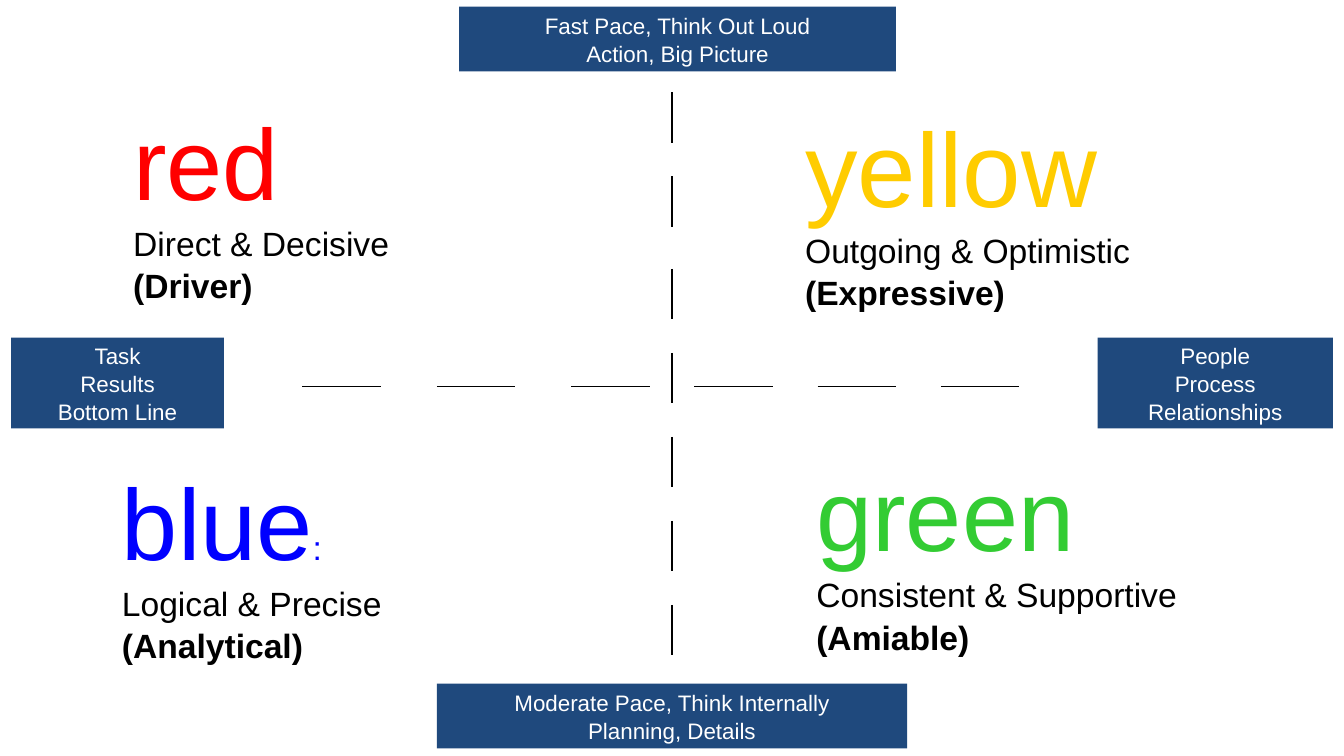
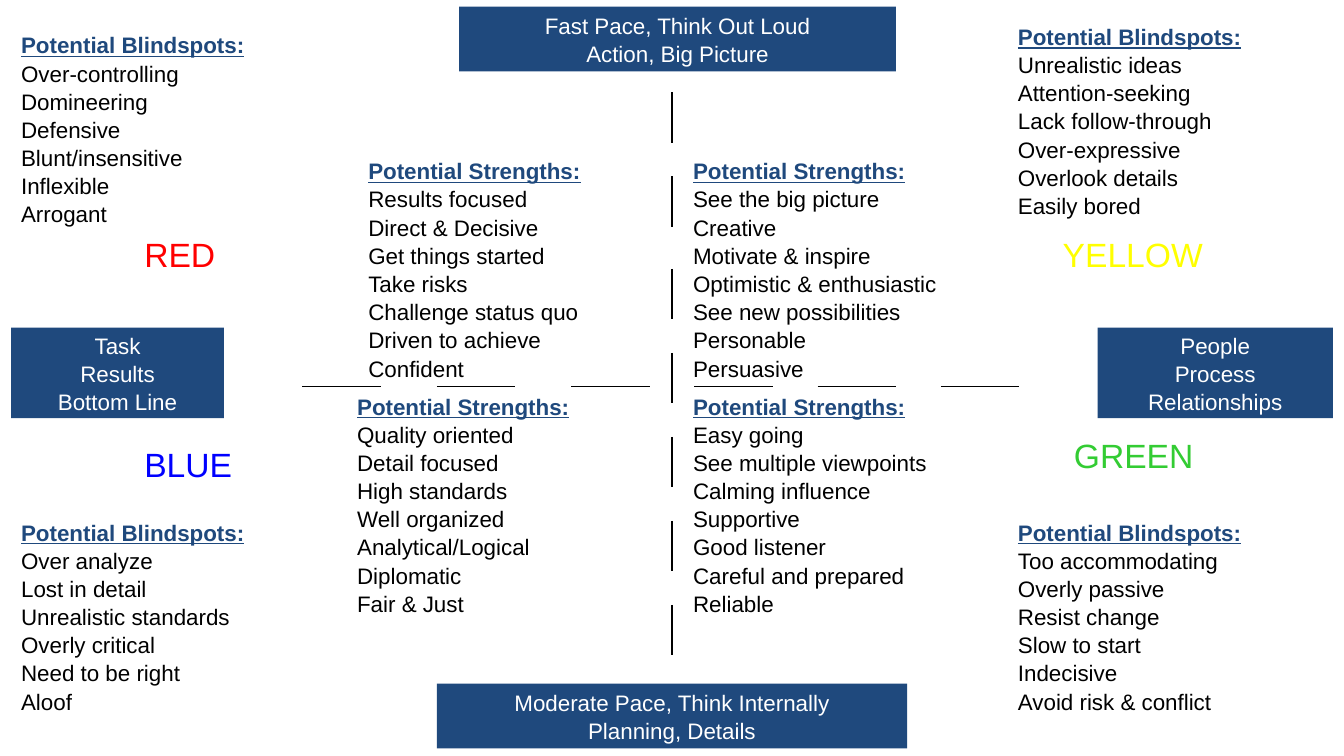
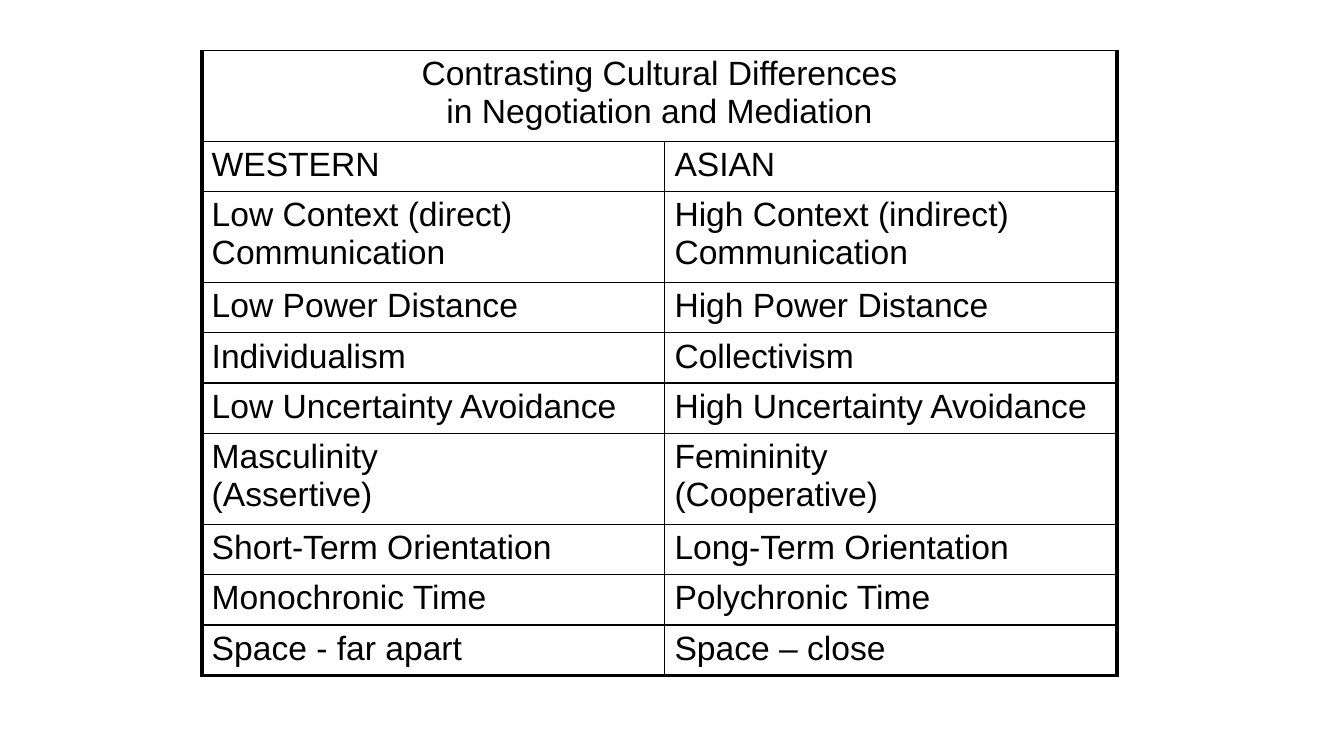
from lxml import etree
from pptx import Presentation
from pptx import util as u
from pptx.dml.color import RGBColor
from pptx.enum import shapes, text
from pptx.oxml import ns

WIDTH, HEIGHT = 13.33, 7.5
COLUMNS, ROWS = 120, 90
FONT = "Arial"
BLACK, WHITE, NAVY = "000000", "FFFFFF", "1F497D"
RED, BLUE, GREEN = "FF0000", "0000FF", "33CC33"
GOLD, YELLOW = "FFCC00", "FFFF00"

# Places are (column, row, columns wide, rows high).
QUADRANTS = [
    ((11, 10, 35, 25.4), "red", 72, RED, "Direct & Decisive", "(Driver)"),
    ((71, 10.2, 43, 26), "yellow", 75, GOLD, "Outgoing & Optimistic", "(Expressive)"),
    ((72, 51.8, 47, 25.4), "green", 72, GREEN, "Consistent & Supportive", "(Amiable)"),
    ((10, 52.8, 47, 25.4), "blue", 72, BLUE, "Logical & Precise", "(Analytical)"),
]

STRENGTHS = [
    ((32, 18, 34, 25), ["Results focused", "Direct & Decisive", "Get things started",
                        "Take risks", "Challenge status quo", "Driven to achieve",
                        "Confident"]),
    ((31, 46, 33, 28), ["Quality oriented", "Detail focused", "High standards",
                        "Well organized", "Analytical/Logical", "Diplomatic",
                        "Fair & Just"]),
    ((61, 18, 32, 24), ["See the big picture", "Creative", "Motivate & inspire",
                        "Optimistic & enthusiastic", "See new possibilities",
                        "Personable", "Persuasive"]),
    ((61, 46, 31, 24), ["Easy going", "See multiple viewpoints", "Calming influence",
                        "Supportive", "Good listener", "Careful and prepared",
                        "Reliable"]),
]

BLINDSPOTS = [
    ((90, 61, 30, 27), ["Too accommodating", "Overly passive", "Resist change",
                        "Slow to start", "Indecisive", "Avoid risk & conflict"]),
    ((90, 2, 30, 27), ["Unrealistic ideas", "Attention-seeking", "Lack follow-through",
                       "Over-expressive", "Overlook details", "Easily bored"]),
    ((1, 3, 30, 27), ["Over-controlling", "Domineering", "Defensive",
                      "Blunt/insensitive", "Inflexible", "Arrogant"]),
    ((1, 61, 30, 27), ["Over analyze", "Lost in detail", "Unrealistic standards",
                       "Overly critical", "Need to be right", "Aloof"]),
]

COLOUR_LABELS = [
    ((94, 27, 21, 6), "YELLOW", YELLOW),
    ((12, 27, 14, 6), "RED", RED),
    ((12, 52, 16, 6), "BLUE", BLUE),
    ((95, 51, 19, 6), "GREEN", GREEN),
]

CULTURES = [
    (["WESTERN"], ["ASIAN"]),
    (["Low Context (direct) Communication"], ["High Context (indirect) Communication"]),
    (["Low Power Distance"], ["High Power Distance"]),
    (["Individualism"], ["Collectivism"]),
    (["Low Uncertainty Avoidance"], ["High Uncertainty Avoidance"]),
    (["Masculinity", "(Assertive)"], ["Femininity", "(Cooperative)"]),
    (["Short-Term Orientation"], ["Long-Term Orientation"]),
    (["Monochronic Time"], ["Polychronic Time"]),
    (["Space - far apart"], ["Space – close"]),
]


def colour(code):
    return RGBColor.from_string(code)


def across(columns):
    return u.Inches(WIDTH * columns / COLUMNS)


def down(rows):
    return u.Inches(HEIGHT * rows / ROWS)


def grid(place):
    left, top, width, height = place
    return across(left), down(top), across(width), down(height)


def add_span(para, words, size=16, ink=BLACK, bold=False, underline=False):
    span = para.add_run()
    span.text = words
    font = span.font
    font.name, font.size, font.bold = FONT, u.Pt(size), bold
    font.underline = underline
    font.color.rgb = colour(ink)


def add_para(frame, words, align=text.PP_ALIGN.LEFT, spacing=1.05, **style):
    """Fill the frame's empty first paragraph, or append another."""
    first = frame.paragraphs[0]
    para = frame.add_paragraph() if first.runs else first
    para.alignment, para.line_spacing = align, spacing
    add_span(para, words, **style)
    return para


def add_text_box(page, place, top_margin=0.05):
    frame = page.shapes.add_textbox(*grid(place)).text_frame
    frame.word_wrap = True
    frame.margin_top = u.Inches(top_margin)
    return frame


def add_band(page, place, lines):
    box = page.shapes.add_shape(shapes.MSO_SHAPE.RECTANGLE, *grid(place))
    box.shadow.inherit = False
    box.fill.solid()
    box.fill.fore_color.rgb = colour(NAVY)
    box.line.fill.background()
    frame = box.text_frame
    frame.word_wrap = True
    frame.vertical_anchor = text.MSO_ANCHOR.MIDDLE
    for line in lines:
        add_para(frame, line, align=text.PP_ALIGN.CENTER, ink=WHITE)


def add_dash(page, left, top, right, bottom):
    dash = page.shapes.add_connector(shapes.MSO_CONNECTOR.STRAIGHT, across(left),
                                     down(top), across(right), down(bottom))
    dash.line.width = u.Pt(1)
    dash.line.color.rgb = colour(BLACK)
    etree.SubElement(dash.element.spPr, ns.qn("a:effectLst"))


def add_axes(page, side_row):
    """Draw the dashed cross and the four bands at its ends."""
    for left in (27, 39, 51, 62, 73, 84):
        add_dash(page, left, 46, left + 7, 46)
    for top in (11, 21, 32, 42, 52, 62, 72):
        add_dash(page, 60, top, 60, top + 6)
    add_band(page, (41, 0.8, 39, 7.7), ["Fast Pace, Think Out Loud", "Action, Big Picture"])
    add_band(page, (39, 81.4, 42, 7.7), ["Moderate Pace, Think Internally",
                                         "Planning, Details"])
    add_band(page, (98, side_row, 21, 10.8), ["People", "Process", "Relationships"])
    add_band(page, (1, side_row, 19, 10.8), ["Task", "Results", "Bottom Line"])


def add_quadrant(page, place, name, size, ink, traits, style_name):
    frame = add_text_box(page, place, top_margin=0.1)
    heading = add_para(frame, name, size=size, ink=ink)
    if name == "blue":
        add_span(heading, ":", size=24, ink=ink)
    add_para(frame, traits, size=24)
    add_para(frame, style_name, size=24, bold=True)


def add_list(page, place, heading, items):
    frame = add_text_box(page, place)
    add_para(frame, heading, ink=NAVY, bold=True, underline=True)
    for item in items:
        add_para(frame, item)


def set_borders(cell, **widths):
    """Draw black cell borders; keywords L, R, T and B give points."""
    properties = cell._tc.get_or_add_tcPr()
    for position, (side, width) in enumerate(widths.items()):
        border = etree.Element(ns.qn(f"a:ln{side}"), w=str(u.Pt(width)))
        fill = etree.SubElement(border, ns.qn("a:solidFill"))
        etree.SubElement(fill, ns.qn("a:srgbClr"), val=BLACK)
        properties.insert(position, border)


def add_culture_table(page):
    title = ["Contrasting Cultural Differences", "in Negotiation and Mediation"]
    rows = [(title, [])] + CULTURES
    tall_rows = (0, 2, 6)
    last = len(rows) - 1
    table = page.shapes.add_table(len(rows), 2, u.Inches(2), u.Inches(0.5),
                                  u.Inches(9.08), u.Inches(6.2)).table
    table.first_row = table.horz_banding = False
    for column, width in zip(table.columns, (4.59, 4.49)):
        column.width = u.Inches(width)
    table.cell(0, 0).merge(table.cell(0, 1))
    for r, row in enumerate(rows):
        table.rows[r].height = u.Inches(0.9 if r in tall_rows else 0.5)
        align = text.PP_ALIGN.LEFT if r else text.PP_ALIGN.CENTER
        for c, lines in enumerate(row):
            cell = table.cell(r, c)
            cell.fill.background()
            for line in lines:
                add_para(cell.text_frame, line, align=align, spacing=1.0, size=24)
            set_borders(cell, L=1 if c else 3, R=3 if c or r == 0 else 1,
                        T=1, B=3 if r == last else 1)


def main():
    deck = Presentation()
    deck.slide_width, deck.slide_height = u.Inches(WIDTH), u.Inches(HEIGHT)
    styles, traits, cultures = [deck.slides.add_slide(deck.slide_layouts[6])
                                for _ in range(3)]

    for quadrant in QUADRANTS:
        add_quadrant(styles, *quadrant)
    add_axes(styles, side_row=40.2)

    for place, items in STRENGTHS:
        add_list(traits, place, "Potential Strengths:", items)
    for place, items in BLINDSPOTS:
        add_list(traits, place, "Potential Blindspots:", items)
    for place, name, ink in COLOUR_LABELS:
        add_para(add_text_box(traits, place), name, size=24, ink=ink)
    add_axes(traits, side_row=39)

    add_culture_table(cultures)
    deck.save("out.pptx")


if __name__ == "__main__":
    main()
